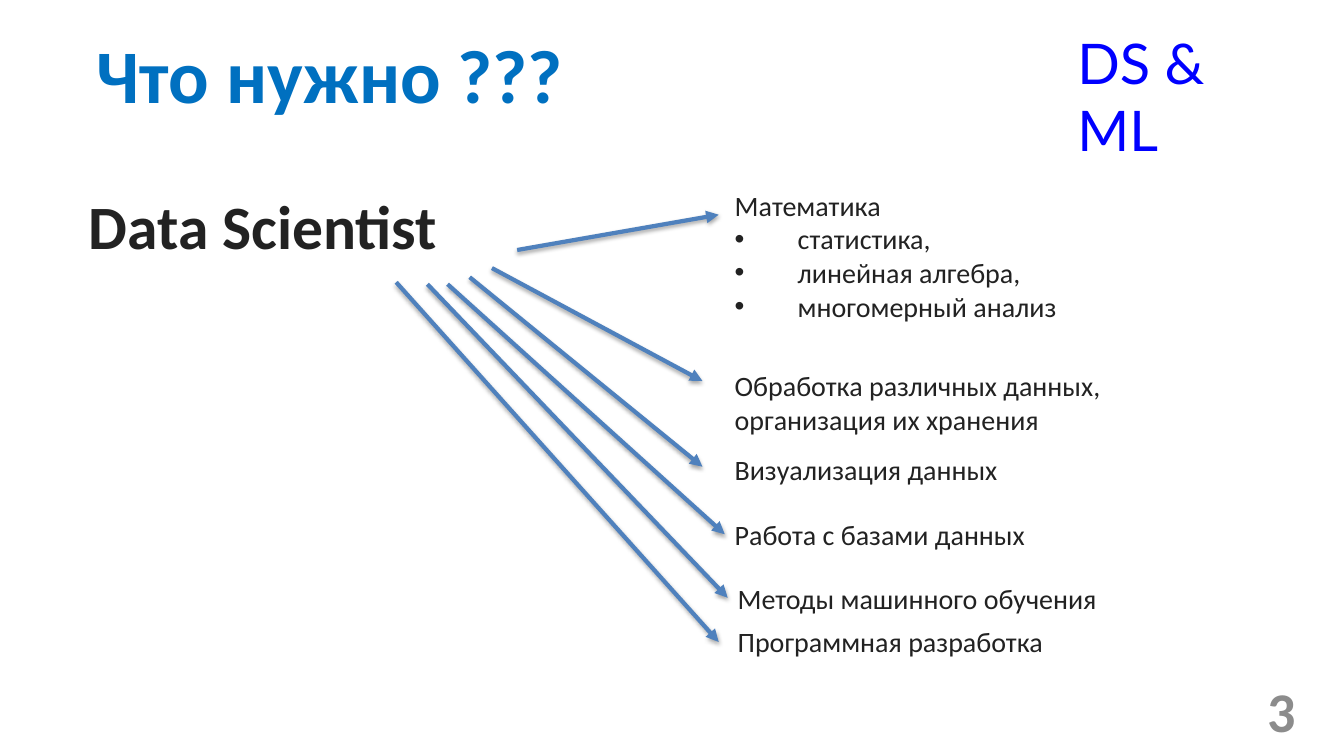
from lxml.etree import SubElement
from pptx import Presentation
from pptx.dml.color import RGBColor
from pptx.enum.shapes import MSO_CONNECTOR
from pptx.enum.text import MSO_ANCHOR, MSO_AUTO_SIZE, PP_ALIGN
from pptx.oxml.ns import qn
from pptx.util import Pt

COLORS = {"title": "0070C0", "course": "0000FF", "number": "8C8C8C",
          "body": "222222", "arrow": "4F81BD", "shadow": "000000"}

HEADING = {"text": "Что нужно ???", "box": (62, 16.5, 631.5, 72.7),
           "font": {"size": Pt(54), "name": "Calibri", "bold": True}, "color": "title"}
LABELS = [
    {"text": "DS & ML", "box": (762.5, 16.5, 160, 55.5),
     "font": {"size": Pt(40), "name": "Lato"}, "color": "course"},
    {"text": "3", "box": (853.2, 492.5, 79.2, 28.8),
     "font": {"size": Pt(40), "name": "Calibri", "bold": True}, "color": "number",
     "frame": {"vertical_anchor": MSO_ANCHOR.MIDDLE}, "align": PP_ALIGN.RIGHT},
    {"text": "Data Scientist", "box": (56.2, 131, 321, 60.5),
     "font": {"size": Pt(44), "name": "Calibri", "bold": True}, "color": "body"},
]
SKILL_FONT = {"size": Pt(20), "name": "Calibri"}
MATH_TOPICS = ["статистика,", "линейная алгебра,", "многомерный анализ"]
SKILLS = [
    ("Математика", MATH_TOPICS, (517.7, 131, 258.5, 128), (369.4, 178.6), (513.4, 153.4)),
    ("Обработка различных данных, организация их хранения", [],
     (517.7, 260, 335.5, 55.5), (351.4, 191.5), (501.8, 272.2)),
    ("Визуализация данных", [], (517.7, 319.7, 222, 31.5), (335.5, 198), (501.8, 333.4)),
    ("Работа с базами данных", [], (517.7, 365.8, 245.5, 31.5), (319.7, 203), (517.7, 381.6)),
    ("Методы машинного обучения", [], (519.8, 411.8, 291, 31.5), (305.3, 203), (519.8, 427)),
    ("Программная разработка", [], (519.8, 442.8, 254, 31.5), (283, 201.6), (513.4, 458.6)),
]
BULLET_INDENT = Pt(45)


def apply(target, formats):
    for name, value in formats.items():
        setattr(target, name, value)


def write(shape, lines, font, color, frame=None, align=PP_ALIGN.LEFT):
    text_frame = shape.text_frame
    apply(text_frame, {"word_wrap": True, "auto_size": MSO_AUTO_SIZE.NONE,
                       "vertical_anchor": MSO_ANCHOR.TOP, **(frame or {})})
    for index, line in enumerate(lines):
        paragraph = text_frame.add_paragraph() if index else text_frame.paragraphs[0]
        paragraph.alignment = align
        run = paragraph.add_run()
        run.text = line
        apply(run.font, font)
        run.font.color.rgb = RGBColor.from_string(COLORS[color])
    return text_frame.paragraphs


def add_bullet(paragraph):
    properties = paragraph._p.get_or_add_pPr()
    properties.set("marL", str(BULLET_INDENT))
    properties.set("indent", str(-BULLET_INDENT))
    SubElement(properties, qn("a:buFont"), typeface="Arial")
    SubElement(properties, qn("a:buChar"), char="•")


def add_arrow(shapes, start, end):
    arrow = shapes.add_connector(MSO_CONNECTOR.STRAIGHT, *map(Pt, start + end))
    arrow.line.width = Pt(3)
    arrow.line.color.rgb = RGBColor.from_string(COLORS["arrow"])
    SubElement(arrow.line._get_or_add_ln(), qn("a:tailEnd"), type="triangle")
    effects = SubElement(arrow._element.spPr, qn("a:effectLst"))
    shadow = SubElement(effects, qn("a:outerShdw"), blurRad=str(Pt(3.1)),
                        dist=str(Pt(1.8)), dir="5400000", rotWithShape="0")
    shade = SubElement(shadow, qn("a:srgbClr"), val=COLORS["shadow"])
    SubElement(shade, qn("a:alpha"), val="35000")


deck = Presentation()
apply(deck, {"slide_width": Pt(960), "slide_height": Pt(540)})
slide = deck.slides.add_slide(deck.slide_layouts[5])
shapes = slide.shapes

heading = shapes.title
apply(heading, dict(zip(("left", "top", "width", "height"), map(Pt, HEADING["box"]))))
write(heading, [HEADING["text"]], HEADING["font"], HEADING["color"])

for label in LABELS:
    write(shapes.add_textbox(*map(Pt, label["box"])), [label["text"]], label["font"],
          label["color"], label.get("frame"), label.get("align", PP_ALIGN.LEFT))

for skill, topics, box, start, end in SKILLS:
    paragraphs = write(shapes.add_textbox(*map(Pt, box)), [skill, *topics], SKILL_FONT, "body")
    for topic in paragraphs[1:]:
        add_bullet(topic)
    add_arrow(shapes, start, end)

deck.save("out.pptx")
